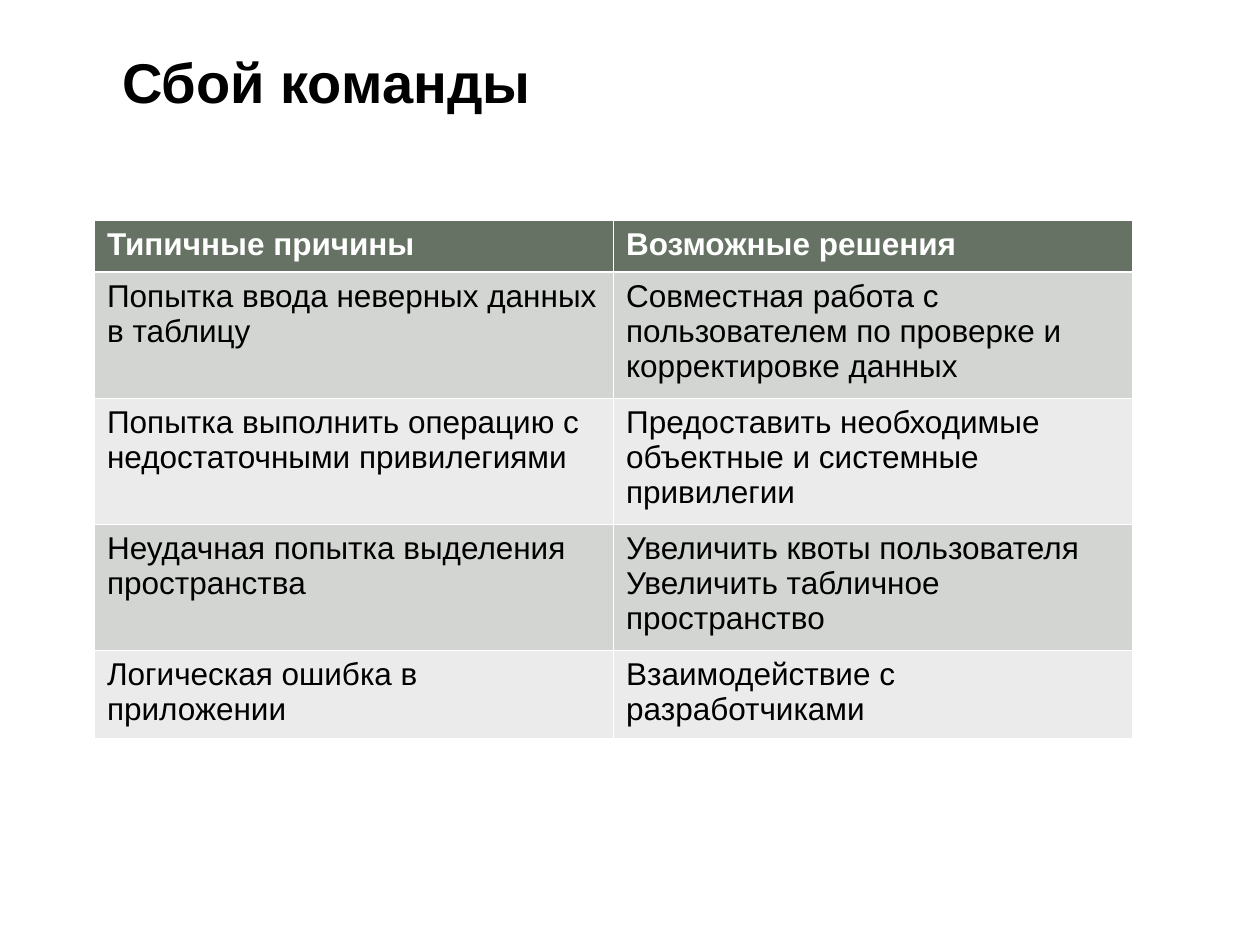
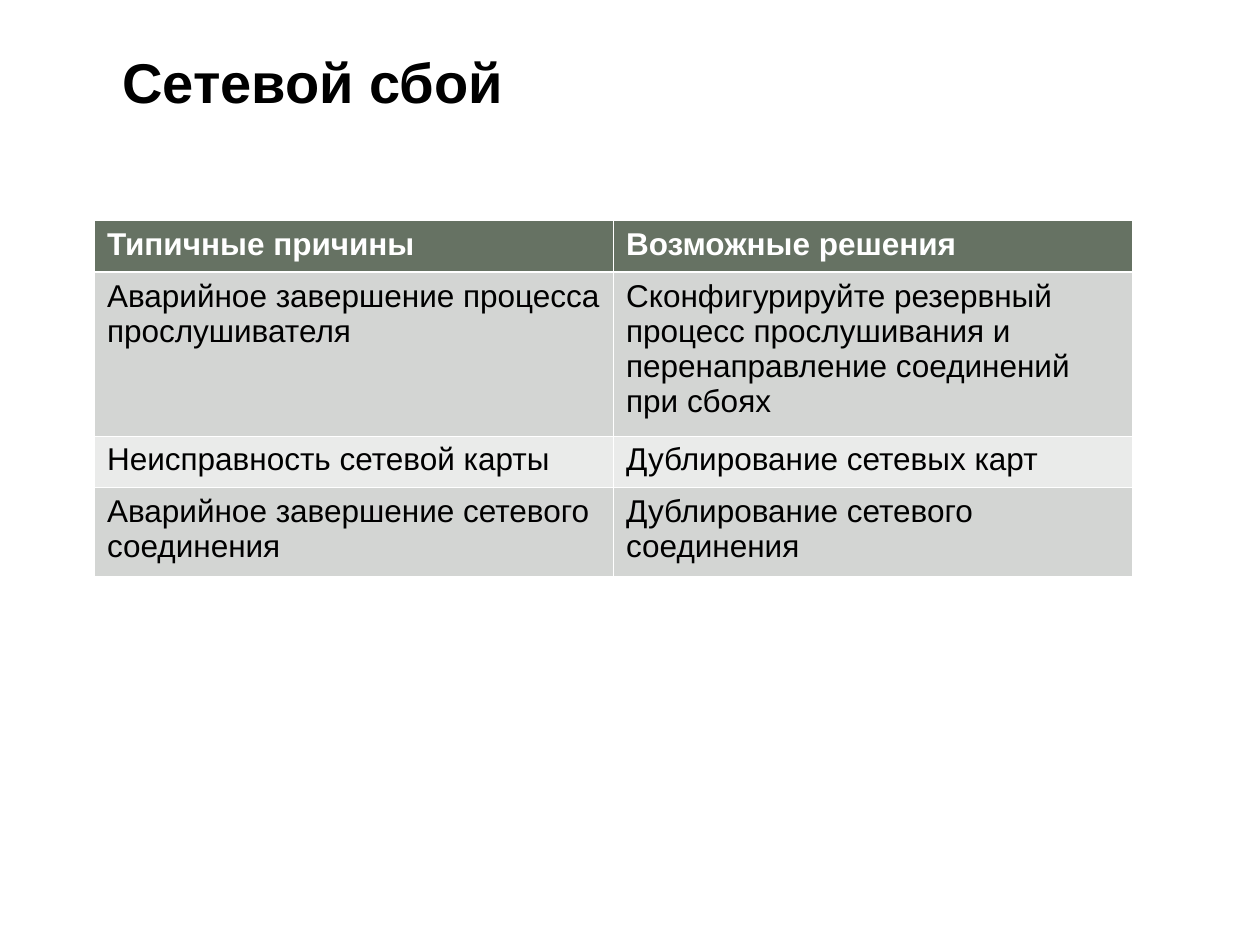
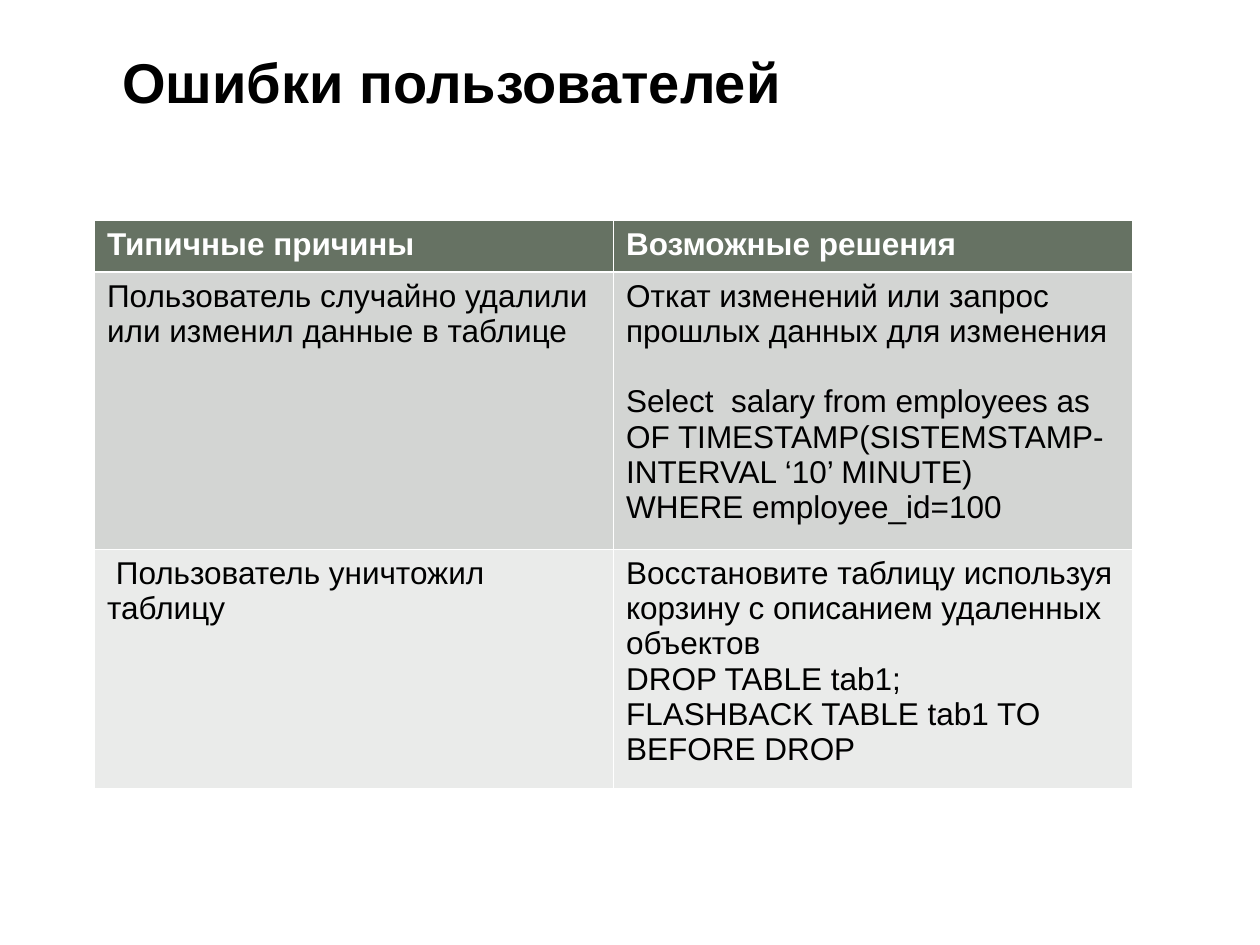
"""Builds three slides on database failures, their causes and their solutions."""
from dataclasses import dataclass

from lxml.etree import SubElement
from pptx import Presentation
from pptx.dml.color import RGBColor as Rgb
from pptx.enum.text import MSO_ANCHOR as Anchor
from pptx.oxml.ns import qn
from pptx.util import Inches, Pt

COLORS = {"ink": "000000", "paper": "FFFFFF", "header": "667263",
          "dark_band": "D3D5D3", "light_band": "EAEBEA"}
FONT = "Arial"
TITLE_BOX = (0.97, 0.33, 8.29, 1.03)
TABLE_BOX = (0.75, 1.75, 8.24)
HEADER_HEIGHT = 0.41
THIN, THICK = 0.45, 1.47
HEADINGS = ("Типичные причины", "Возможные решения")


@dataclass
class Line:
    """A paragraph with a gap above in points and a first line indent in inches."""
    text: str
    before: float = 0
    indent: float = 0


FAILURES = [
    ("Сбой команды", [
        (1, "Попытка ввода неверных данных в таблицу",
         "Совместная работа с пользователем по проверке и корректировке данных"),
        (1, "Попытка выполнить операцию с недостаточными привилегиями",
         "Предоставить необходимые объектные и системные привилегии"),
        (1, "Неудачная попытка выделения пространства",
         ["Увеличить квоты пользователя", "Увеличить табличное пространство"]),
        (0.7, "Логическая ошибка в приложении", "Взаимодействие с разработчиками"),
    ]),
    ("Сетевой сбой", [
        (1.3, "Аварийное завершение процесса прослушивателя",
         "Сконфигурируйте резервный процесс прослушивания и перенаправление "
         "соединений при сбоях"),
        (0.41, "Неисправность сетевой карты", "Дублирование сетевых карт"),
        (0.7, "Аварийное завершение сетевого соединения",
         "Дублирование сетевого соединения"),
    ]),
    ("Ошибки пользователей", [
        (2.2, "Пользователь случайно удалили или изменил данные в таблице",
         ["Откат изменений или запрос прошлых данных для изменения",
          Line("Select  salary from employees as OF TIMESTAMP(SISTEMSTAMP-"
               "INTERVAL ‘10’ MINUTE)", before=20.2),
          "WHERE employee_id=100"]),
        (1.9, [Line("Пользователь уничтожил таблицу", indent=0.07)],
         ["Восстановите таблицу используя корзину с описанием удаленных объектов",
          "DROP TABLE tab1;", "FLASHBACK TABLE tab1 TO BEFORE DROP"]),
    ]),
]


def write(frame, content, size=18, color="ink", bold=False):
    """Fill a text frame with one paragraph per line of the content."""
    frame.word_wrap = True
    lines = [content] if isinstance(content, str) else content
    for number, line in enumerate(lines):
        line = Line(line) if isinstance(line, str) else line
        para = frame.paragraphs[0] if number == 0 else frame.add_paragraph()
        if line.before:
            para.space_before = Pt(line.before)
        if line.indent:
            para._p.get_or_add_pPr().set("indent", str(Inches(line.indent)))
        span = para.add_run()
        span.text = line.text
        span.font.name = FONT
        span.font.size = Pt(size)
        span.font.bold = bold
        span.font.color.rgb = Rgb.from_string(COLORS[color])


def add_border(cell, side, width):
    """Draw one side (L, R, T or B) of a cell as a solid line."""
    properties = cell._tc.get_or_add_tcPr()
    border = SubElement(properties, qn(f"a:ln{side}"), w=str(Pt(width)))
    fill = SubElement(border, qn("a:solidFill"))
    SubElement(fill, qn("a:srgbClr"), val=COLORS["paper"])


def style_cell(cell, row, fill):
    """Set the borders, then the fill and insets of a cell."""
    widths = {"L": THIN, "R": THIN, "T": THICK if row == 1 else THIN,
              "B": THICK if row == 0 else THIN}
    for side, width in widths.items():
        add_border(cell, side, width)
    cell.fill.solid()
    cell.fill.fore_color.rgb = Rgb.from_string(COLORS[fill])
    cell.margin_left = cell.margin_right = Inches(0.1)
    cell.margin_top = cell.margin_bottom = Inches(0.05)


def add_title(page, text, box):
    """Place the slide title at the top of its box."""
    frame = page.shapes.add_textbox(*map(Inches, box)).text_frame
    frame.margin_left = frame.margin_right = frame.margin_bottom = 0
    frame.margin_top = Inches(0.05)
    frame.vertical_anchor = Anchor.TOP
    write(frame, text, size=32, bold=True)


def add_causes_table(page, causes, box):
    """Place the table of causes and solutions under its header row."""
    left, top, width = box
    rows = [(HEADER_HEIGHT, *HEADINGS), *causes]
    height = sum(row[0] for row in rows)
    table = page.shapes.add_table(len(rows), len(HEADINGS),
                                  *map(Inches, (left, top, width, height))).table
    table.horz_banding = False
    for column in table.columns:
        column.width = Inches(width / len(HEADINGS))
    for number, (row_height, *contents) in enumerate(rows):
        table.rows[number].height = Inches(row_height)
        is_header = number == 0
        band = "dark_band" if number % 2 else "light_band"
        for cell, content in zip(table.rows[number].cells, contents):
            style_cell(cell, number, "header" if is_header else band)
            write(cell.text_frame, content, bold=is_header,
                  color="paper" if is_header else "ink")


def main():
    """Build and save the deck."""
    deck = Presentation()
    deck.slide_width, deck.slide_height = Inches(10), Inches(7.5)
    for title, causes in FAILURES:
        page = deck.slides.add_slide(deck.slide_layouts[6])
        add_title(page, title, TITLE_BOX)
        add_causes_table(page, causes, TABLE_BOX)
    deck.save("out.pptx")


if __name__ == "__main__":
    main()
